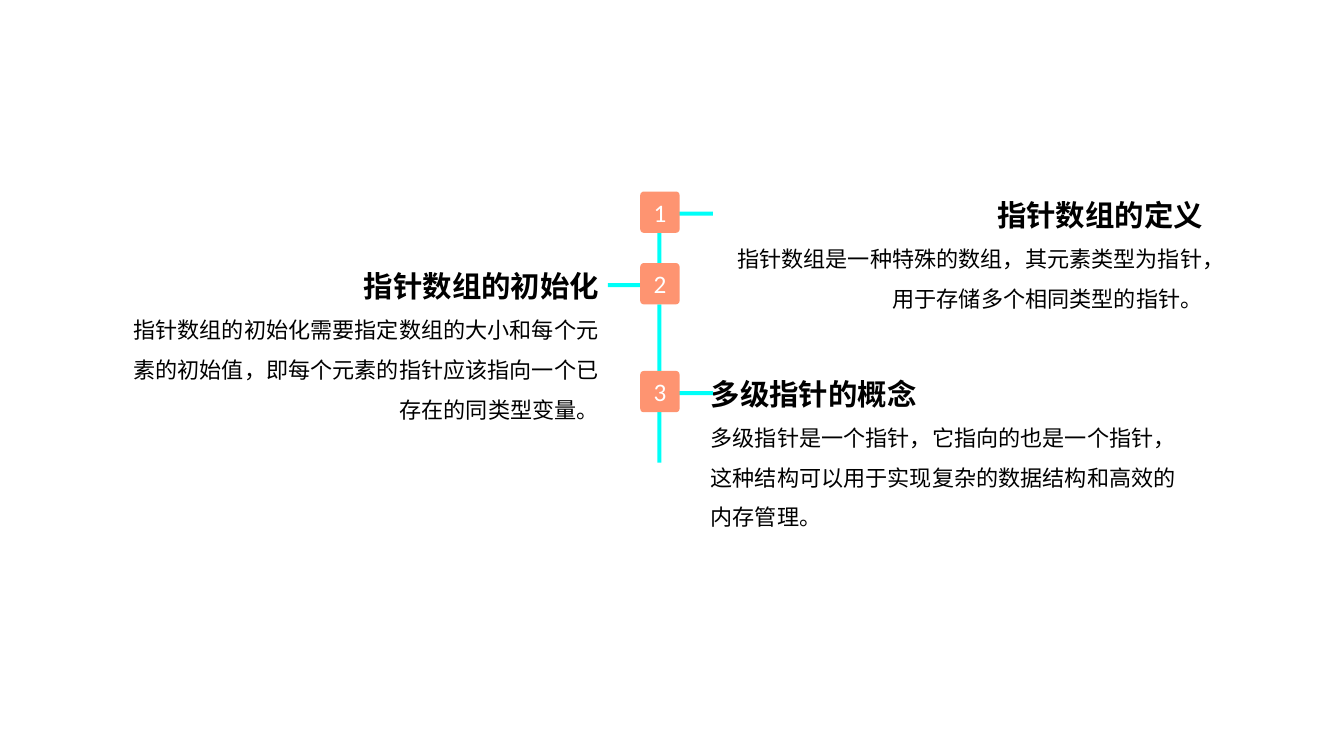
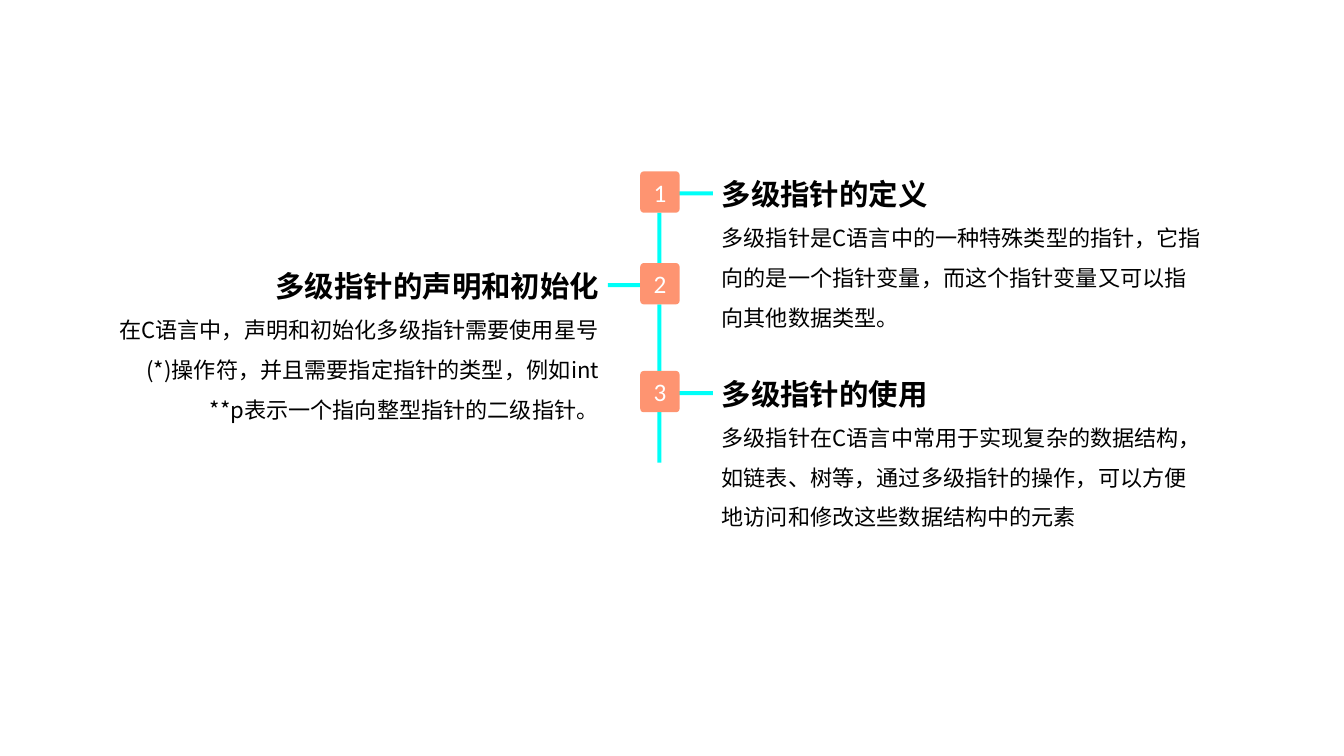
from dataclasses import dataclass

from lxml import etree
from pptx import Presentation
from pptx.dml.color import RGBColor
from pptx.enum import shapes, text
from pptx.oxml import ns
from pptx.util import Inches, Pt


@dataclass(frozen=True)
class Theme:
    line: RGBColor = RGBColor(0x00, 0xFF, 0xF8)
    badge: RGBColor = RGBColor(0xFE, 0x94, 0x71)
    ink: RGBColor = RGBColor(0x00, 0x00, 0x00)
    white: RGBColor = RGBColor(0xFF, 0xFF, 0xFF)
    text_font: str = "Noto Sans CJK SC"
    number_font: str = "Calibri"
    heading_size: float = 21
    body_size: float = 15.8
    number_size: float = 18


theme = Theme()
LEFT, RIGHT = text.PP_ALIGN.LEFT, text.PP_ALIGN.RIGHT

# Timeline geometry, in inches
AXIS_X, BAR = 6.52, 0.04
BADGE_X, BADGE_WIDTH, BADGE_HEIGHT = 6.35, 0.39, 0.41
TICK_LEFT_X, TICK_RIGHT_X, TICK_WIDTH, TICK_DROP = 6.03, 6.73, 0.34, 0.2
TAIL = 0.5
TEXT_WIDTH = 4.97

# Each step: badge top, text left, text top, text height, alignment, heading, body
slides = [
    [
        (1.9, 7.06, 1.92, 1.2, RIGHT, "指针数组的定义",
         "指针数组是一种特殊的数组，其元素类型为指针，用于存储多个相同类型的指针。"),
        (2.61, 1.07, 2.61, 1.63, RIGHT, "指针数组的初始化",
         "指针数组的初始化需要指定数组的大小和每个元素的初始值，"
         "即每个元素的指针应该指向一个已存在的同类型变量。"),
        (3.68, 6.95, 3.68, 1.63, LEFT, "多级指针的概念",
         "多级指针是一个指针，它指向的也是一个指针，"
         "这种结构可以用于实现复杂的数据结构和高效的内存管理。"),
    ],
    [
        (1.7, 7.06, 1.7, 1.63, LEFT, "多级指针的定义",
         "多级指针是C语言中的一种特殊类型的指针，它指向的是一个指针变量，"
         "而这个指针变量又可以指向其他数据类型。"),
        (2.61, 1.07, 2.61, 1.63, RIGHT, "多级指针的声明和初始化",
         "在C语言中，声明和初始化多级指针需要使用星号(*)操作符，"
         "并且需要指定指针的类型，例如int **p表示一个指向整型指针的二级指针。"),
        (3.68, 7.06, 3.68, 1.63, LEFT, "多级指针的使用",
         "多级指针在C语言中常用于实现复杂的数据结构，如链表、树等，"
         "通过多级指针的操作，可以方便地访问和修改这些数据结构中的元素"),
    ],
]


def add_block(slide, kind, left, top, width, height, color):
    shape = slide.shapes.add_shape(
        kind, Inches(left), Inches(top), Inches(width), Inches(height))
    shape.shadow.inherit = False
    shape.fill.solid()
    shape.fill.fore_color.rgb = color
    shape.line.fill.background()
    return shape


def add_run(paragraph, words, size, font_name, color, bold=False):
    run = paragraph.add_run()
    run.text = words
    run.font.size = Pt(size)
    run.font.bold = bold
    run.font.color.rgb = color
    run.font.name = font_name
    # East Asian characters take their own font entry
    properties = run.font._element
    etree.SubElement(properties, ns.qn("a:ea")).set("typeface", font_name)


presentation = Presentation()
presentation.slide_width = Inches(13.33)
presentation.slide_height = Inches(7.5)

for steps in slides:
    slide = presentation.slides.add_slide(presentation.slide_layouts[6])

    # Heading and body of each step
    for _, left, top, height, alignment, heading, body in steps:
        box = slide.shapes.add_textbox(
            Inches(left), Inches(top), Inches(TEXT_WIDTH), Inches(height))
        frame = box.text_frame
        frame.word_wrap = True
        frame.auto_size = text.MSO_AUTO_SIZE.SHAPE_TO_FIT_TEXT
        frame.vertical_anchor = text.MSO_ANCHOR.MIDDLE
        paragraph = frame.paragraphs[0]
        paragraph.alignment = alignment
        add_run(paragraph, heading, theme.heading_size, theme.text_font, theme.ink, bold=True)
        paragraph = frame.add_paragraph()
        paragraph.alignment = alignment
        paragraph.line_spacing = 1.5
        add_run(paragraph, body, theme.body_size, theme.text_font, theme.ink)

    # Timeline: stem down to the next badge, tick towards the text, numbered badge
    badge_tops = [step[0] for step in steps]
    stem_ends = badge_tops[1:] + [badge_tops[-1] + BADGE_HEIGHT + TAIL]
    for number, (step, stem_end) in enumerate(zip(steps, stem_ends), start=1):
        badge_top, text_left = step[:2]
        stem_top = badge_top + BADGE_HEIGHT
        tick_left = TICK_LEFT_X if text_left < AXIS_X else TICK_RIGHT_X
        add_block(slide, shapes.MSO_SHAPE.RECTANGLE,
                  AXIS_X, stem_top, BAR, stem_end - stem_top, theme.line)
        add_block(slide, shapes.MSO_SHAPE.RECTANGLE,
                  tick_left, badge_top + TICK_DROP, TICK_WIDTH, BAR, theme.line)
        badge = add_block(slide, shapes.MSO_SHAPE.ROUNDED_RECTANGLE,
                          BADGE_X, badge_top, BADGE_WIDTH, BADGE_HEIGHT, theme.badge)
        badge.adjustments[0] = 0.09
        frame = badge.text_frame
        frame.margin_left = frame.margin_right = frame.margin_top = frame.margin_bottom = 0
        frame.vertical_anchor = text.MSO_ANCHOR.MIDDLE
        paragraph = frame.paragraphs[0]
        paragraph.alignment = text.PP_ALIGN.CENTER
        add_run(paragraph, str(number), theme.number_size, theme.number_font, theme.white)

presentation.save("out.pptx")
